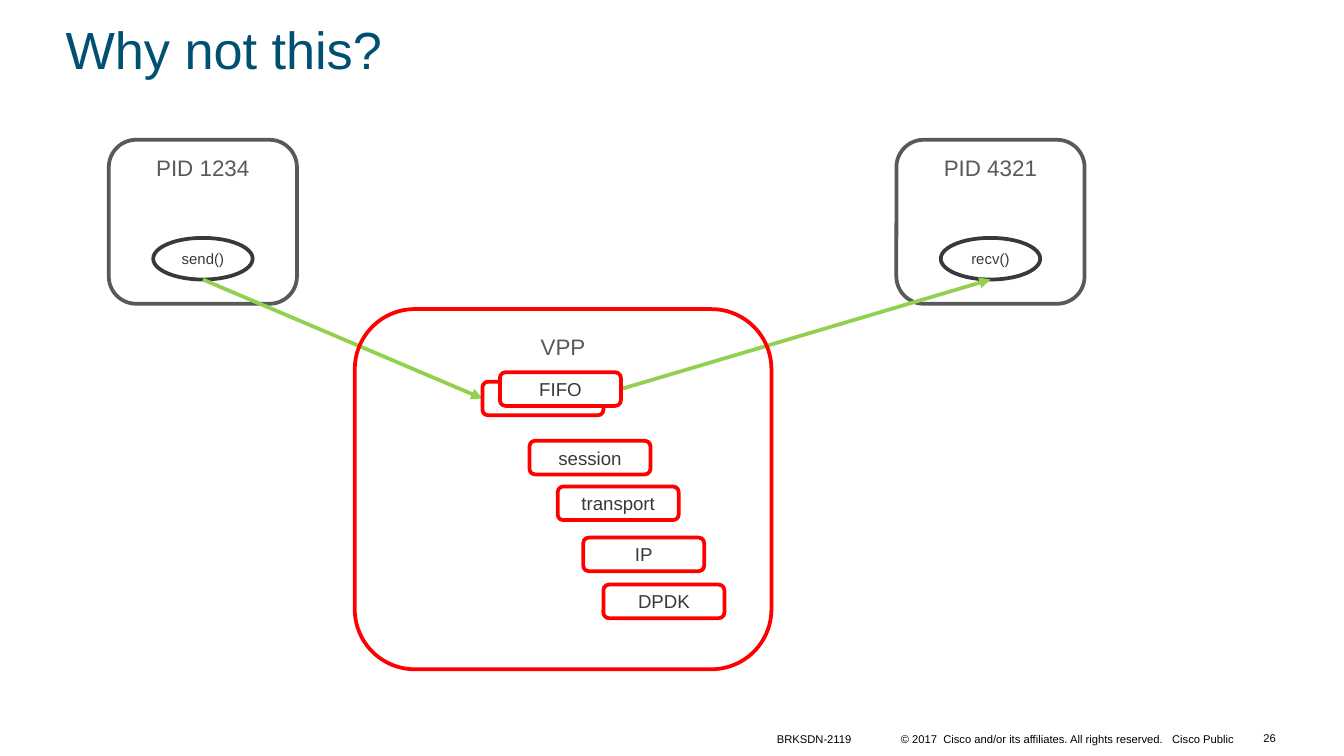
from lxml import etree
from pptx import Presentation
from pptx.dml.color import RGBColor
from pptx.enum.shapes import MSO_CONNECTOR, MSO_SHAPE
from pptx.enum.text import MSO_ANCHOR, PP_ALIGN
from pptx.oxml.ns import qn
from pptx.util import Inches, Pt

ROUND, OVAL = MSO_SHAPE.ROUNDED_RECTANGLE, MSO_SHAPE.OVAL
STRAIGHT = MSO_CONNECTOR.STRAIGHT
TOP, MID, LOW = MSO_ANCHOR.TOP, MSO_ANCHOR.MIDDLE, MSO_ANCHOR.BOTTOM
LEFT, MIDDLE, RIGHT = PP_ALIGN.LEFT, PP_ALIGN.CENTER, PP_ALIGN.RIGHT
LEFT_SIDE, RIGHT_SIDE = 1, 3
BLUE, GREY, DARK = "005073", "58595B", "39393B"
RED, GREEN, WHITE, BLACK = "FF0000", "92D050", "FFFFFF", "000000"

# Content
TITLE = "Why not this?"
APPS = [("PID 1234", "send()", 0.81), ("PID 4321", "recv()", 6.67)]
LAYERS = [  # label, left, top
    ("FIFO", 3.59, 2.84),
    ("FIFO", 3.72, 2.77),
    ("session", 3.94, 3.28),
    ("transport", 4.15, 3.62),
    ("IP", 4.34, 4),
    ("DPDK", 4.49, 4.35),
]
FOOTER = [  # text, place, alignment, anchor, inset
    ("BRKSDN-2119", (5.71, 5.41, 0.78, 0.17), LEFT, LOW, (0.07, 0.03)),
    ("© 2017  Cisco and/or its affiliates. All rights reserved.   Cisco Public",
     (6.55, 5.41, 2.7, 0.17), RIGHT, LOW, (0.07, 0.03)),
    ("26", (9.2, 5.34, 0.39, 0.3), RIGHT, MID, (0.1, 0.05)),
]

# Sizes
APP_TOP, APP_W, APP_H = 1.04, 1.4, 1.22
CALL_TOP, CALL_W, CALL_H = 1.77, 0.74, 0.31
LAYER_W, LAYER_H = 0.9, 0.25

deck = Presentation()
deck.slide_width = Inches(10)
deck.slide_height = Inches(10 * 9 / 16)
slide = deck.slides.add_slide(deck.slide_layouts[6])
shapes = slide.shapes


def paint(color):
    return RGBColor.from_string(color)


def write(shape, text, size=10, color=DARK, align=MIDDLE, anchor=MID,
          inset=(0.1, 0.05), spacing=1.0):
    frame = shape.text_frame
    frame.word_wrap = True
    frame.vertical_anchor = anchor
    frame.margin_left = frame.margin_right = Inches(inset[0])
    frame.margin_top = frame.margin_bottom = Inches(inset[1])
    para = frame.paragraphs[0]
    para.text = text
    para.alignment, para.line_spacing = align, spacing
    para.font.name, para.font.size = "Arial", Pt(size)
    para.font.color.rgb = paint(color)


def add_text(text, place, **style):
    write(shapes.add_textbox(*map(Inches, place)), text, **style)


def add_box(kind, text, place, line, fill=None, **style):
    box = shapes.add_shape(kind, *map(Inches, place))
    box.shadow.inherit = False
    if fill:
        box.fill.solid()
        box.fill.fore_color.rgb = paint(fill)
    else:
        box.fill.background()
    box.line.color.rgb, box.line.width = paint(line), Pt(2)
    write(box, text, **style)
    return box


def add_arrow(start, end):
    arrow = shapes.add_connector(STRAIGHT, *map(Inches, start + end))
    arrow.line.color.rgb, arrow.line.width = paint(GREEN), Pt(2)
    line = arrow.line._get_or_add_ln()
    etree.SubElement(line, qn("a:tailEnd"), type="triangle")
    etree.SubElement(arrow._element.spPr, qn("a:effectLst"))
    return arrow


# Title
add_text(TITLE, (0.39, 0.17, 9.31, 0.48), size=28, color=BLUE, align=LEFT,
         anchor=LOW, spacing=0.9)

# Processes, each with its call
ports = []
for name, call, left in APPS:
    add_box(ROUND, name, (left, APP_TOP, APP_W, APP_H), GREY,
            size=12, color=GREY, anchor=TOP)
    center = left + APP_W / 2
    add_box(OVAL, call, (center - CALL_W / 2, CALL_TOP, CALL_W, CALL_H), DARK,
            size=8)
    ports.append((center, CALL_TOP + CALL_H))

# Arrows lie behind the stack and are joined to it below
back, front = [(left, top + LAYER_H / 2) for _, left, top in LAYERS[:2]]
sent = add_arrow(ports[0], back)
got = add_arrow((front[0] + LAYER_W, front[1]), ports[1])

# VPP and its layers
add_box(ROUND, "VPP", (2.64, 2.3, 3.1, 2.68), RED,
        size=12, color=GREY, anchor=TOP)
stack = [add_box(ROUND, text, (left, top, LAYER_W, LAYER_H), RED, fill=WHITE)
         for text, left, top in LAYERS]
sent.end_connect(stack[0], LEFT_SIDE)
got.begin_connect(stack[1], RIGHT_SIDE)

# Footer
for text, place, align, anchor, inset in FOOTER:
    add_text(text, place, size=6, color=BLACK, align=align, anchor=anchor,
             inset=inset)

deck.save("out.pptx")
